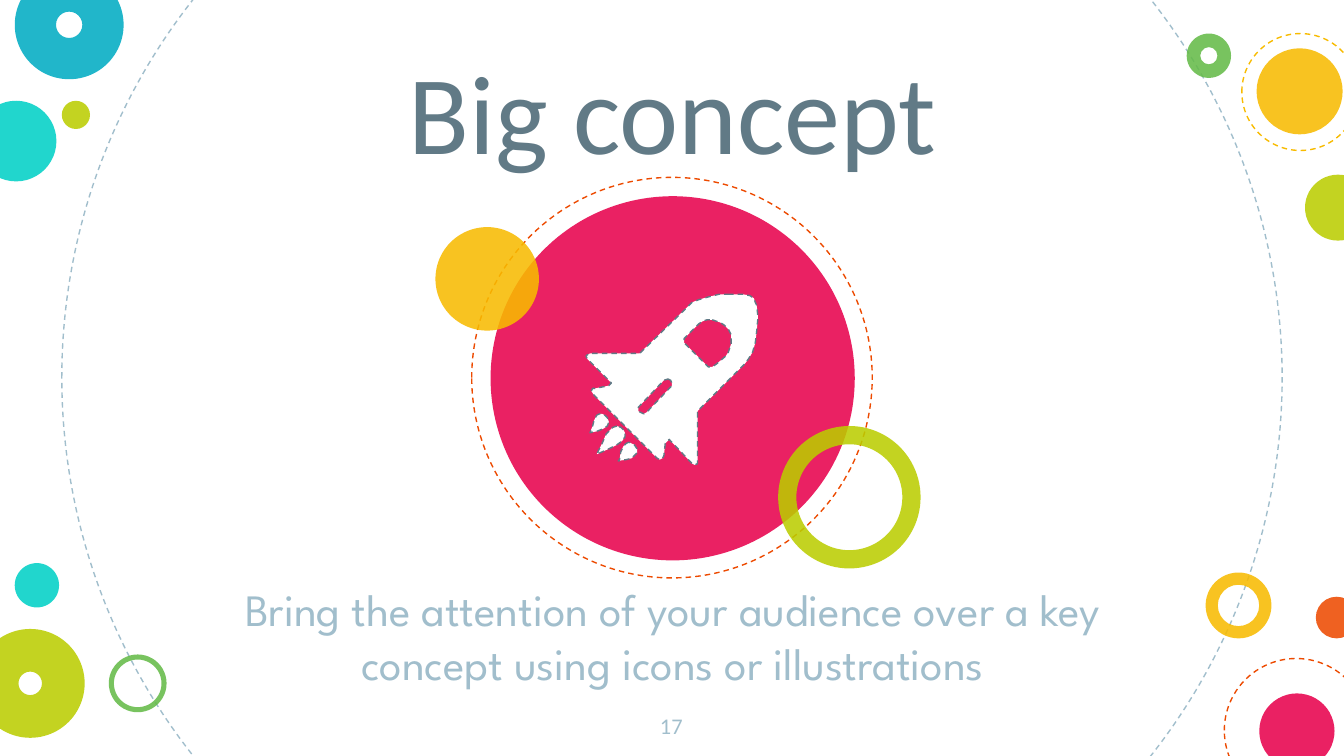
"""Build the "Big concept" slide: a rocket in a circle, framed by coloured dots and rings."""
import pptx
import pptx.util
import pptx.dml.color
import pptx.enum.dml
import pptx.enum.shapes
import pptx.enum.text
import pptx.oxml
import pptx.oxml.ns

Inches = pptx.util.Inches
SHAPES = pptx.enum.shapes.MSO_SHAPE
ANCHORS = pptx.enum.text.MSO_ANCHOR

SLATE, MIST, WHITE = "617A86", "A1BECC", "FFFFFF"
TURQUOISE, TEAL, LIME, GREEN = "00D1C6", "00ACC3", "BBCD00", "65BB48"
YELLOW, ORANGE, PINK = "F8BB00", "ED4A00", "E8004C"


def paint(fill, color, opacity=100):
    fill.solid()
    fill.fore_color.rgb = pptx.dml.color.RGBColor.from_string(color)
    if opacity < 100:
        tint = fill._xPr.find(".//" + pptx.oxml.ns.qn("a:srgbClr"))
        alpha = pptx.oxml.parse_xml(
            f'<a:alpha {pptx.oxml.ns.nsdecls("a")} val="{opacity * 1000}"/>')
        tint.append(alpha)


def dash_outline(shape, color):
    paint(shape.line.fill, color)
    shape.line.width = pptx.util.Pt(0.75)
    shape.line.dash_style = pptx.enum.dml.MSO_LINE.DASH


deck = pptx.Presentation()
deck.slide_width = Inches(10)
deck.slide_height = Inches(10 * 9 / 16)
page = deck.slides.add_slide(deck.slide_layouts[6])

circles = [
    ("dashed", 0.46, -1.73, 9.08, MIST),
    ("disc", -0.18, 0.75, 0.6, TURQUOISE),
    (0.186, 8.97, 4.26, 0.49, YELLOW),
    (0.379, 0.11, -0.22, 0.81, TEAL),
    ("disc", 0.46, 0.75, 0.21, LIME),
    ("dashed", 9.11, 4.9, 1.07, ORANGE),
    (0.088, 0.81, 4.87, 0.43, GREEN),
    ("disc", 9.79, 4.44, 0.31, ORANGE),
    (0.392, -0.18, 4.68, 0.81, LIME),
    ("disc", 9.37, 5.16, 0.56, PINK),
    (0.306, 8.83, 0.25, 0.33, GREEN),
    ("disc", 9.35, 0.36, 0.64, YELLOW),
    ("disc", 9.71, 1.3, 0.49, LIME),
    ("dashed", 9.24, 0.25, 0.87, YELLOW),
    ("disc", 0.11, 4.19, 0.33, TURQUOISE),
    ("disc", 3.65, 1.46, 2.71, PINK),
    ("dashed", 3.51, 1.32, 2.98, ORANGE),
    ("disc", 3.24, 1.69, 0.77, YELLOW),
    (0.128, 5.79, 3.17, 1.06, LIME),
]
for style, left, top, size, color in circles:
    is_ring = isinstance(style, float)
    circle = page.shapes.add_shape(
        SHAPES.DONUT if is_ring else SHAPES.OVAL,
        Inches(left), Inches(top), Inches(size), Inches(size))
    circle.shadow.inherit = False
    if is_ring:
        circle.adjustments[0] = style
    if style == "dashed":
        circle.fill.background()
        dash_outline(circle, color)
    else:
        paint(circle.fill, color, 87)
        circle.line.fill.background()

window = [
    (530, 238), (533, 239), (536, 240), (539, 242), (542, 245), (544, 249), (544, 256),
    (542, 262), (540, 265), (533, 271), (530, 273), (527, 273), (525, 271), (511, 257),
    (509, 255), (509, 252), (511, 250), (518, 243), (520, 241), (523, 239), (526, 238),
]
slot = [
    (497, 282), (499, 283), (500, 285), (500, 287), (499, 288), (481, 307), (479, 308),
    (477, 307), (475, 306), (475, 303), (476, 302), (494, 283),
]
hull = [
    (543, 219), (535, 219), (527, 221), (520, 223), (515, 225), (512, 228), (476, 263),
    (439, 263), (437, 264), (436, 265), (437, 267), (455, 285), (453, 287), (443, 289),
    (441, 289), (440, 291), (442, 294), (489, 341), (491, 342), (493, 341), (494, 339),
    (495, 330), (498, 327), (515, 345), (517, 346), (519, 345), (519, 343), (519, 306),
    (554, 271), (557, 267), (560, 262), (562, 255), (563, 247), (564, 236), (563, 227),
    (562, 225), (561, 222), (558, 220), (553, 219),
]
middle_flame = [
    (459, 317), (456, 318), (453, 321), (451, 323), (448, 330), (445, 336), (444, 338),
    (453, 334), (459, 331), (463, 328), (465, 325), (465, 322), (464, 320), (462, 318),
]
lower_flame = [
    (468, 329), (466, 330), (464, 332), (462, 336), (461, 342), (460, 343), (466, 342),
    (470, 341), (472, 339), (474, 337), (474, 334), (472, 331),
]
upper_flame = [
    (446, 308), (444, 309), (442, 313), (441, 317), (439, 322), (444, 321), (449, 319),
    (452, 317), (453, 314), (452, 311), (450, 309), (448, 308),
]
rocket = page.shapes.add_group_shape()
for outlines in ([window, slot, hull], [middle_flame], [lower_flame], [upper_flame]):
    builder = rocket.shapes.build_freeform(*outlines[0][0], scale=Inches(0.01))
    for outline in outlines:
        if outline is not outlines[0]:
            builder.move_to(*outline[0])
        builder.add_line_segments(outline[1:], close=True)
    part = builder.convert_to_shape()
    part.shadow.inherit = False
    paint(part.fill, WHITE)
    dash_outline(part, SLATE)

texts = [
    ("Big concept", 1.43, 0.15, 7.15, 1.27, ANCHORS.BOTTOM, 60, "Calibri", SLATE, 0),
    ("Bring the attention of your audience over a key concept using icons or illustrations",
     1.43, 4.23, 7.15, 0.86, ANCHORS.TOP, 24, "League Spartan", MIST, 6),
    ("17", 4.74, 5.2, 0.51, 0.43, ANCHORS.TOP, 12, "Calibri", MIST, 0),
]
for words, left, top, width, height, anchor, size, font, color, space in texts:
    box = page.shapes.add_textbox(Inches(left), Inches(top), Inches(width), Inches(height))
    frame = box.text_frame
    frame.text = words
    frame.word_wrap = True
    frame.vertical_anchor = anchor
    frame.margin_left = frame.margin_right = Inches(0.1)
    frame.margin_top = frame.margin_bottom = Inches(0.1)
    para = frame.paragraphs[0]
    para.alignment = pptx.enum.text.PP_ALIGN.CENTER
    para.space_before = pptx.util.Pt(space)
    span = para.runs[0]
    span.font.size = pptx.util.Pt(size)
    span.font.name = font
    paint(span.font.fill, color)

deck.save("out.pptx")
